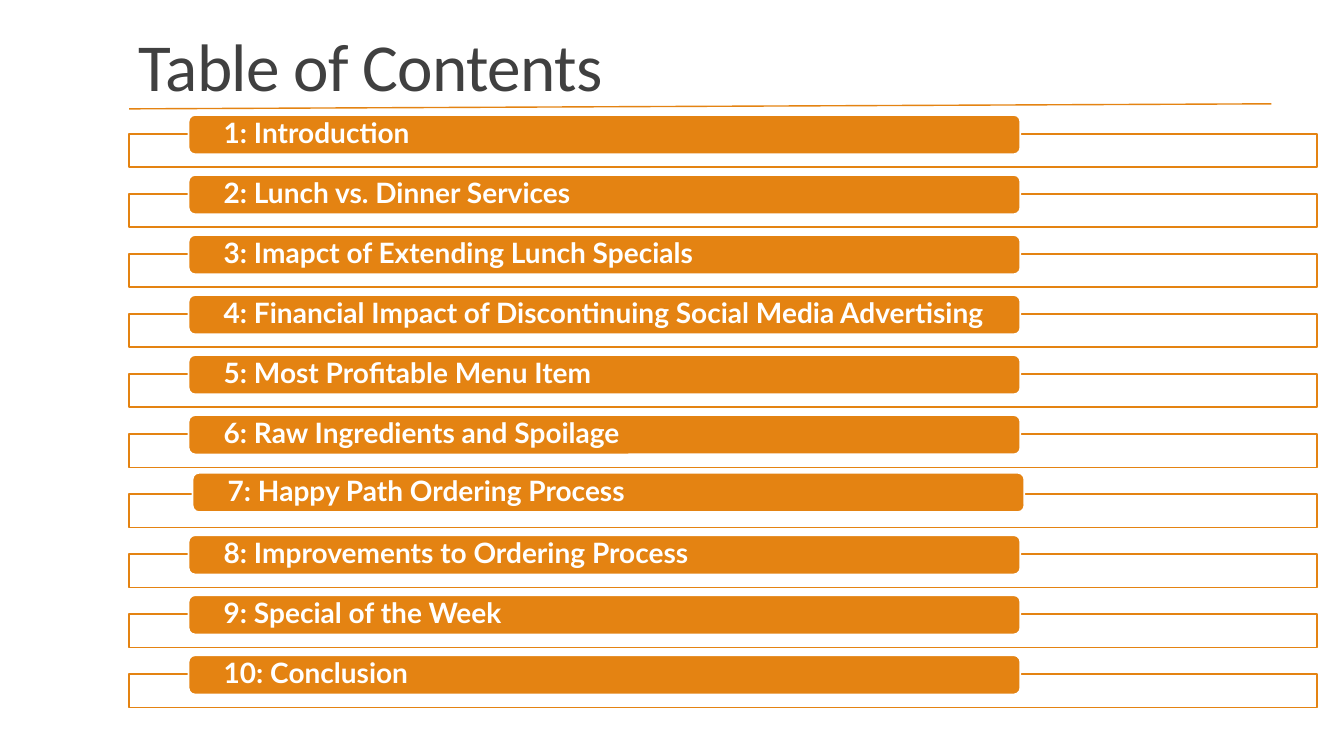
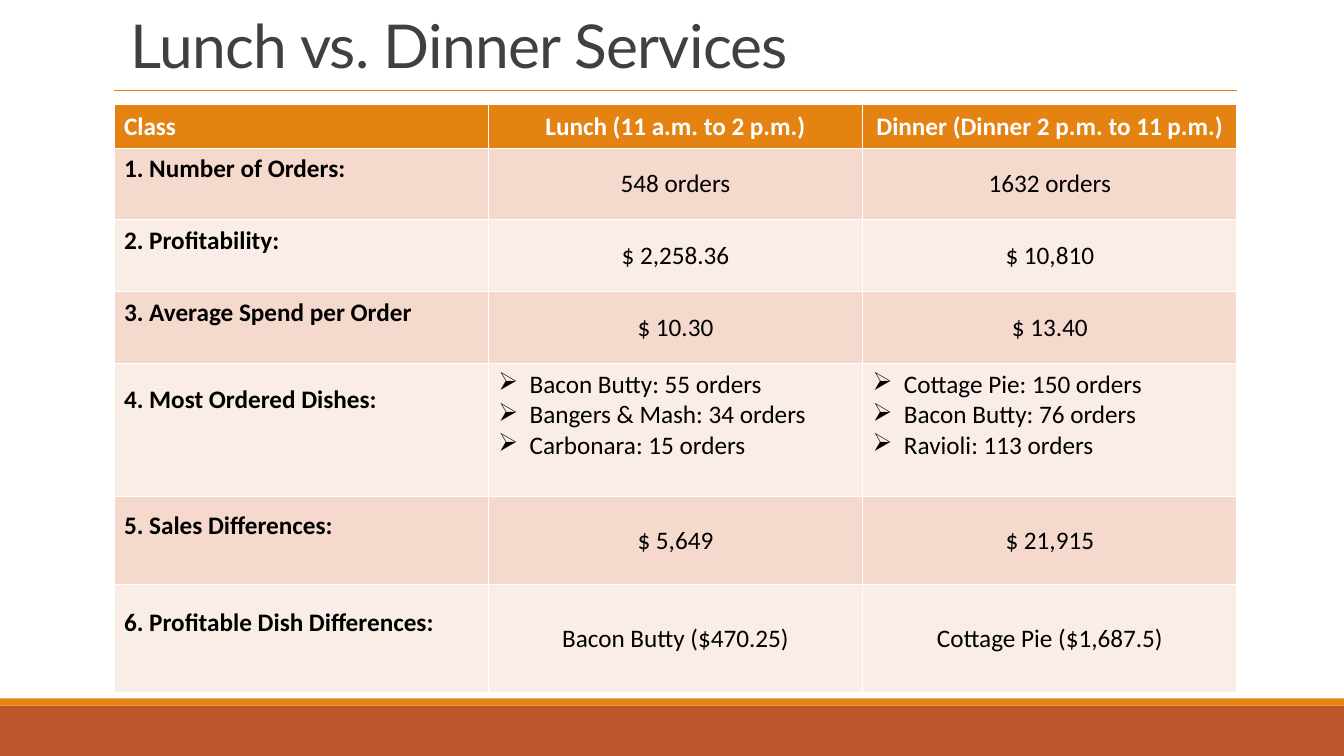
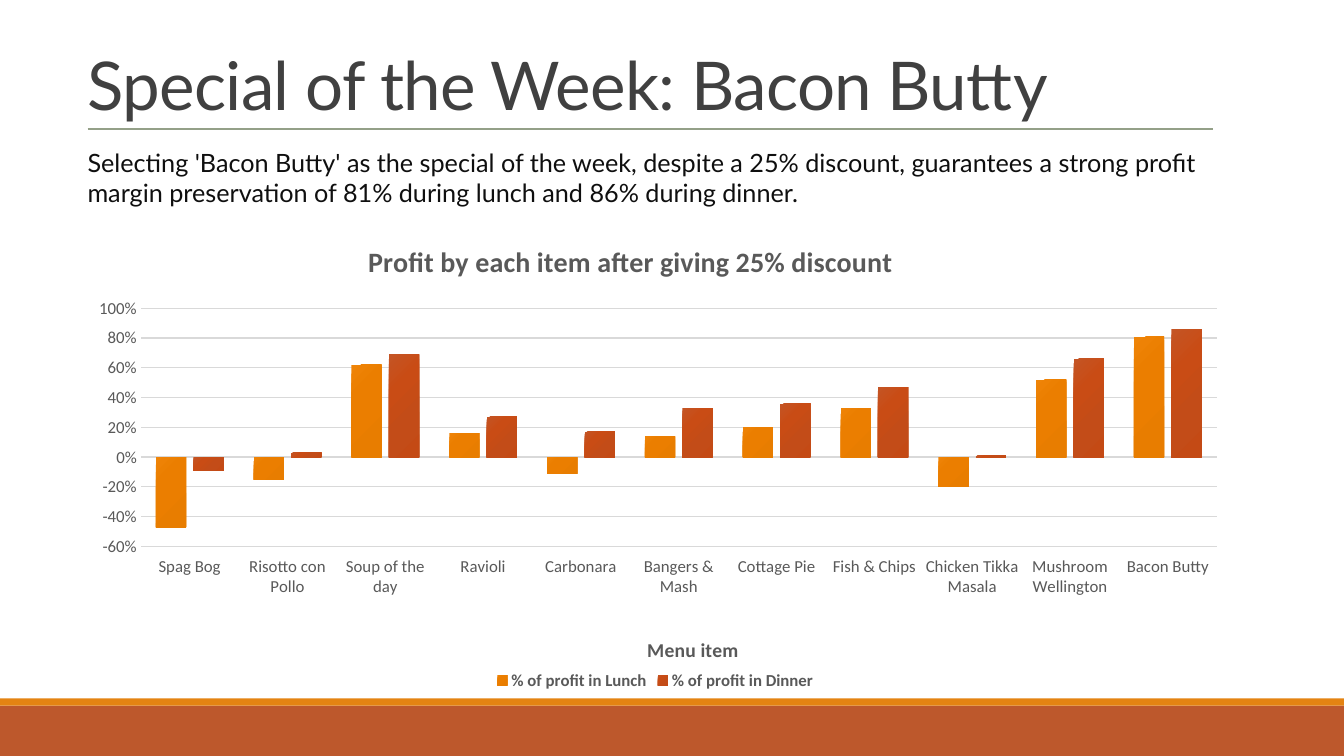
"""Build three slides on a restaurant's lunch and dinner services."""
from lxml.etree import SubElement
from pptx import Presentation
from pptx.chart.data import CategoryChartData
from pptx.dml.color import RGBColor
from pptx.enum.chart import XL_CHART_TYPE, XL_LEGEND_POSITION, XL_TICK_LABEL_POSITION, XL_TICK_MARK
from pptx.enum.shapes import MSO_CONNECTOR, MSO_SHAPE
from pptx.enum.text import MSO_ANCHOR, PP_ALIGN
from pptx.oxml import parse_xml
from pptx.oxml.ns import nsdecls, qn
from pptx.util import Inches, Pt

ORANGE, RUST, WHITE, BLACK = "E48312", "BD582C", "FFFFFF", "000000"
TITLE_GRAY, CHART_GRAY, GRID_GRAY = "404040", "595959", "D9D9D9"


def paint(fill, color):
    """Give a fill, line fill or font fill one solid colour."""
    fill.solid()
    fill.fore_color.rgb = RGBColor.from_string(color)


def set_font(font, size, color, bold=False, name="Calibri"):
    """Set the look of a font."""
    font.name, font.size, font.bold = name, Pt(size), bold
    paint(font.fill, color)


deck = Presentation()
deck.slide_width, deck.slide_height = Inches(13.33), Inches(7.5)

pages = []
for title, left, top, height, size, name, rule, rule_color, has_bands in (
    ("Table of Contents", 1.28, 0.29, 0.8, 48, "Calibri", (1.28, 1.08, 12.61, 1.03), ORANGE, False),
    ("Lunch vs. Dinner Services", 1.2, 0.05, 0.8, 43.2, "Lato", (1.13, 0.9, 12.27, 0.9), ORANGE, True),
    ("Special of the Week: Bacon Butty", 0.77, 0.34, 0.94, 48, "Lato", (0.87, 1.28, 12.03, 1.28), "94A088", True),
):
    page = deck.slides.add_slide(deck.slide_layouts[6])
    pages.append(page)
    if has_bands:
        for band_top, band_height, color in ((7, 0.5, RUST), (6.93, 0.07, ORANGE)):
            band = page.shapes.add_shape(
                MSO_SHAPE.RECTANGLE, 0, Inches(band_top), deck.slide_width, Inches(band_height))
            band.shadow.inherit = False
            paint(band.fill, color)
            band.line.fill.background()
    box = page.shapes.add_textbox(Inches(left), Inches(top), Inches(11), Inches(height))
    box.text_frame.word_wrap = True
    box.text_frame.vertical_anchor = MSO_ANCHOR.BOTTOM
    para = box.text_frame.paragraphs[0]
    para.text = title
    para.line_spacing = 0.85
    set_font(para.font, size, TITLE_GRAY, name=name)
    para.font._element.set("spc", "-50")
    line = page.shapes.add_connector(MSO_CONNECTOR.STRAIGHT, *[Inches(value) for value in rule])
    paint(line.line.fill, rule_color)
    line.line.width = Pt(1)
    SubElement(line.element.spPr, qn("a:effectLst"))

contents_page, services_page, special_page = pages

topics = (
    "Introduction", "Lunch vs. Dinner Services", "Imapct of Extending Lunch Specials",
    "Financial Impact of Discontinuing Social Media Advertising", "Most Profitable Menu Item",
    "Raw Ingredients and Spoilage", "Happy Path Ordering Process",
    "Improvements to Ordering Process", "Special of the Week", "Conclusion",
)
pitch = (6.69 - 1.33) / (len(topics) - 1)
for number, topic in enumerate(topics, 1):
    frame_top = 1.33 + (number - 1) * pitch
    bar_left, bar_top = (1.91, 4.69) if number == 7 else (1.87, frame_top - 0.19)
    frame = contents_page.shapes.add_shape(
        MSO_SHAPE.RECTANGLE, Inches(1.28), Inches(frame_top), Inches(11.78), Inches(0.33))
    bar = contents_page.shapes.add_shape(
        MSO_SHAPE.ROUNDED_RECTANGLE, Inches(bar_left), Inches(bar_top), Inches(8.25), Inches(0.39))
    for shape, fill, outline in ((frame, WHITE, ORANGE), (bar, ORANGE, WHITE)):
        shape.shadow.inherit = False
        paint(shape.fill, fill)
        paint(shape.line.fill, outline)
        shape.line.width = Pt(1.25)
    text = bar.text_frame
    text.margin_left = text.margin_right = Inches(0.33)
    text.margin_top = text.margin_bottom = 0
    text.vertical_anchor = MSO_ANCHOR.MIDDLE
    para = text.paragraphs[0]
    para.text = f"{number}: {topic}"
    para.alignment = PP_ALIGN.LEFT
    para.line_spacing = 0.9
    set_font(para.font, 20, WHITE, True, "Lato")

rows = (
    (0.43, "Class", "Lunch (11 a.m. to 2 p.m.)", "Dinner (Dinner 2 p.m. to 11 p.m.)"),
    (0.71, "1. Number of Orders:", "548 orders", "1632 orders"),
    (0.71, "2. Profitability:", "$ 2,258.36", "$ 10,810"),
    (0.72, "3. Average Spend per Order", "$ 10.30", "$ 13.40"),
    (1.32, "4. Most Ordered Dishes:",
     "Bacon Butty: 55 orders\nBangers & Mash: 34 orders\nCarbonara: 15 orders",
     "Cottage Pie: 150 orders\nBacon Butty: 76 orders\nRavioli: 113 orders"),
    (0.87, "5. Sales Differences:", "$ 5,649", "$ 21,915"),
    (1.07, "6. Profitable Dish Differences:", "Bacon Butty ($470.25)", "Cottage Pie ($1,687.5)"),
)
table = services_page.shapes.add_table(
    len(rows), 3, Inches(1.13), Inches(1.04), Inches(11.14), Inches(5.83)).table
for row_index, (height, *texts) in enumerate(rows):
    table.rows[row_index].height = Inches(height)
    is_header = row_index == 0
    has_list = "\n" in texts[1]
    for column_index, text in enumerate(texts):
        is_label = column_index == 0
        cell = table.cell(row_index, column_index)
        cell.text = text
        cell.vertical_anchor = MSO_ANCHOR.MIDDLE
        paint(cell.fill, ORANGE if is_header else ("FAEDE7", "F5D9CC")[row_index % 2])
        blank_lines = 0 if is_header else is_label + has_list
        cell.margin_bottom = Inches(0.05 + 0.3 * blank_lines)
        for para in cell.text_frame.paragraphs:
            set_font(para.font, 18, WHITE if is_header else BLACK, is_header or is_label)
            if has_list and not is_label:
                properties = para._p.get_or_add_pPr()
                properties.set("marL", str(Inches(0.31)))
                properties.set("indent", str(-Inches(0.31)))
                properties.insert(0, parse_xml(f'<a:buChar {nsdecls("a")} char="➢"/>'))
            elif not is_label:
                para.alignment = PP_ALIGN.CENTER

box = special_page.shapes.add_textbox(Inches(0.77), Inches(1.41), Inches(11.6), Inches(0.71))
box.text_frame.word_wrap = True
para = box.text_frame.paragraphs[0]
para.text = (
    "Selecting 'Bacon Butty' as the special of the week, despite a 25% discount, guarantees "
    "a strong profit margin preservation of 81% during lunch and 86% during dinner."
)
set_font(para.font, 18, "0F0F0F", name="Lato")

profits = CategoryChartData(number_format="0%")
profits.categories = (
    "Spag Bog", "Risotto con Pollo", "Soup of the day", "Ravioli", "Carbonara", "Bangers & Mash",
    "Cottage Pie", "Fish & Chips", "Chicken Tikka Masala", "Mushroom Wellington", "Bacon Butty",
)
profits.add_series(
    "% of profit in Lunch", (-0.47, -0.15, 0.62, 0.16, -0.11, 0.14, 0.2, 0.33, -0.2, 0.52, 0.81))
profits.add_series(
    "% of profit in Dinner", (-0.09, 0.03, 0.69, 0.27, 0.17, 0.33, 0.36, 0.47, 0.01, 0.66, 0.86))
chart = special_page.shapes.add_chart(
    XL_CHART_TYPE.COLUMN_CLUSTERED, Inches(0.7), Inches(2.16), Inches(11.6), Inches(4.73), profits).chart
set_font(chart.font, 10, BLACK)

plot = chart.plots[0]
plot.vary_by_categories = False
plot.gap_width, plot.overlap = 100, -24
gradients = (("E57B00", "E87D00", "EB7E00", "EF8407"), ("C44A15", "C34C18", "C94C15", "C45525"))
for series, colors in zip(plot.series, gradients):
    series.invert_if_negative = False
    stops = "".join(
        f'<a:gs pos="{position}000"><a:srgbClr val="{color}"/></a:gs>'
        for position, color in zip((0, 34, 70, 100), colors))
    series.format.fill.background()
    properties = series._element.spPr
    properties.replace(properties.find(qn("a:noFill")), parse_xml(
        f'<a:gradFill {nsdecls("a")}><a:gsLst>{stops}</a:gsLst><a:path path="circle">'
        '<a:fillToRect l="100000" t="100000"/></a:path></a:gradFill>'))

category_axis, value_axis = chart.category_axis, chart.value_axis
for axis in (category_axis, value_axis):
    axis.major_tick_mark = axis.minor_tick_mark = XL_TICK_MARK.NONE
    set_font(axis.tick_labels.font, 12, CHART_GRAY)
category_axis.tick_label_position = XL_TICK_LABEL_POSITION.LOW
paint(category_axis.format.line.fill, GRID_GRAY)
category_axis.format.line.width = Pt(1)
value_axis.minimum_scale, value_axis.maximum_scale, value_axis.major_unit = -0.6, 1, 0.2
value_axis.tick_labels.number_format = "0%"
value_axis.tick_labels.number_format_is_linked = False
value_axis.format.line.fill.background()
paint(value_axis.major_gridlines.format.line.fill, GRID_GRAY)
value_axis.major_gridlines.format.line.width = Pt(0.75)

for heading, text, size in (
    (chart.chart_title, "Profit by each item after giving 25% discount", 20),
    (category_axis.axis_title, "Menu item", 14),
):
    heading.text_frame.text = text
    set_font(heading.text_frame.paragraphs[0].font, size, CHART_GRAY, True)

chart.has_legend = True
chart.legend.position = XL_LEGEND_POSITION.BOTTOM
chart.legend.include_in_layout = False
set_font(chart.legend.font, 12, CHART_GRAY, True)

chart_title, axis_title = chart.element.iter(qn("c:title"))
plot_area = next(chart.element.iter(qn("c:plotArea")))
for part, index, places in (
    (chart_title, 1, {"x": 0.25, "y": 0.04}),
    (axis_title, 1, {"x": 0.49, "y": 0.87}),
    (plot_area, 0, {"x": 0.06, "y": 0.19, "w": 0.92, "h": 0.5}),
):
    for old_layout in part.findall(qn("c:layout")):
        part.remove(old_layout)
    target = '<c:layoutTarget val="inner"/>' if part is plot_area else ""
    modes = "".join(f'<c:{key}Mode val="edge"/>' for key in "xy")
    values = "".join(f'<c:{key} val="{value}"/>' for key, value in places.items())
    part.insert(index, parse_xml(
        f'<c:layout {nsdecls("c")}><c:manualLayout>{target}{modes}{values}</c:manualLayout></c:layout>'))

deck.save("out.pptx")
